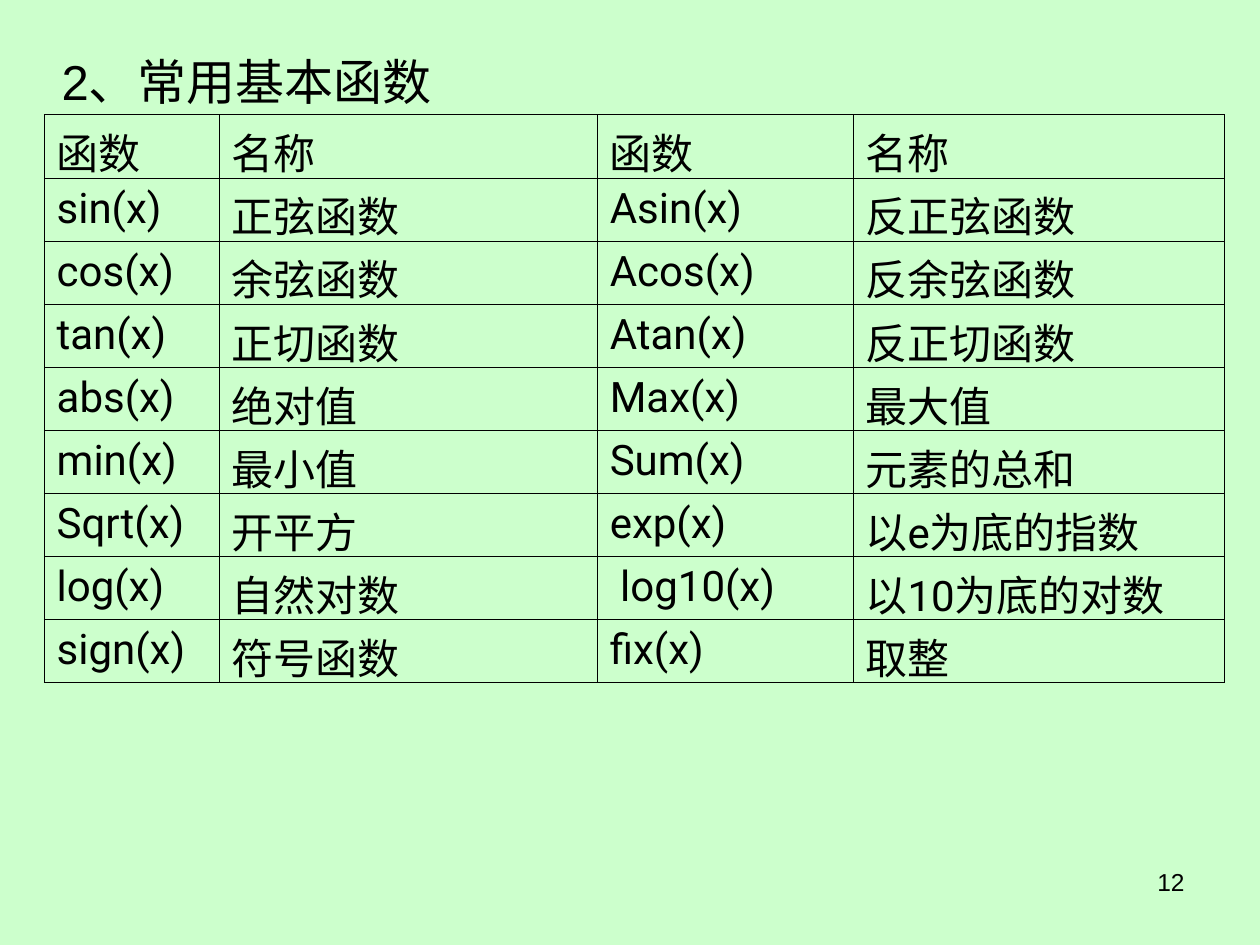
import pptx
import pptx.dml.color
import pptx.enum.text
import pptx.oxml
import pptx.oxml.ns
import pptx.util

BLACK = "000000"
BACKGROUND = "CCFFCC"
ALIGN = pptx.enum.text.PP_ALIGN
ANCHOR = pptx.enum.text.MSO_ANCHOR

FUNCTION_ROWS = [
    ("函数", "名称", "函数", "名称"),
    ("sin(x)", "正弦函数", "Asin(x)", "反正弦函数"),
    ("cos(x)", "余弦函数", "Acos(x)", "反余弦函数"),
    ("tan(x)", "正切函数", "Atan(x)", "反正切函数"),
    ("abs(x)", "绝对值", "Max(x)", "最大值"),
    ("min(x)", "最小值", "Sum(x)", "元素的总和"),
    ("Sqrt(x)", "开平方", "exp(x)", "以e为底的指数"),
    ("log(x)", "自然对数", " log10(x)", "以10为底的对数"),
    ("sign(x)", "符号函数", "fix(x)", "取整"),
]


def color(value):
    return pptx.dml.color.RGBColor.from_string(value)


def write_text(text_frame, text, size=24, font="Arial", fill=BLACK, align=ALIGN.LEFT):
    paragraph = text_frame.paragraphs[0]
    paragraph.alignment = align
    run = paragraph.add_run()
    run.text = text
    run.font.size = pptx.util.Pt(size)
    run.font.name = font
    run.font.color.rgb = color(fill)


class SlideBuilder:
    """Holds the style and the current slide; lengths are shares of the slide."""

    table_font = "Roboto"
    border_width = 0.45

    def __init__(self, presentation):
        self.width = presentation.slide_width
        self.height = presentation.slide_height
        self.slide = presentation.slides.add_slide(presentation.slide_layouts[6])
        fill = self.slide.background.fill
        fill.solid()
        fill.fore_color.rgb = color(BACKGROUND)

    def across(self, share):
        return round(self.width * share)

    def down(self, share):
        return round(self.height * share)

    def area(self, left, top, width, height):
        return self.across(left), self.down(top), self.across(width), self.down(height)

    def text(self, text, place, wrap=True, anchor=ANCHOR.TOP, **text_format):
        text_frame = self.slide.shapes.add_textbox(*self.area(*place)).text_frame
        text_frame.word_wrap = wrap
        text_frame.vertical_anchor = anchor
        write_text(text_frame, text, **text_format)

    def table(self, rows, left, top, column_shares, row_share):
        place = self.area(left, top, sum(column_shares), row_share * len(rows))
        shape = self.slide.shapes.add_table(len(rows), len(column_shares), *place)
        table = shape.table
        table.first_row = table.horz_banding = False
        for column, share in zip(table.columns, column_shares):
            column.width = self.across(share)
        for row, texts in zip(table.rows, rows):
            row.height = self.down(row_share)
            for cell, text in zip(row.cells, texts):
                self.borders(cell)
                cell.fill.background()
                write_text(cell.text_frame, text, font=self.table_font)

    def borders(self, cell):
        properties = cell._tc.get_or_add_tcPr()
        for side in ("lnL", "lnR", "lnT", "lnB"):
            properties.append(pptx.oxml.parse_xml(
                f'<a:{side} {pptx.oxml.ns.nsdecls("a")} w="{pptx.util.Pt(self.border_width)}">'
                f'<a:solidFill><a:srgbClr val="{BLACK}"/></a:solidFill></a:{side}>'))


def main():
    presentation = pptx.Presentation()
    presentation.slide_width = pptx.util.Inches(10)
    presentation.slide_height = pptx.util.Inches(7.5)
    builder = SlideBuilder(presentation)

    # Page number
    builder.text("12", (0.717, 0.911, 0.233, 0.069), size=14, align=ALIGN.RIGHT)

    # Heading
    builder.text("2、常用基本函数", (0.039, 0.048, 0.323, 0.076),
                 wrap=False, anchor=ANCHOR.MIDDLE, size=28)

    # Two pairs of function and name columns
    builder.table(FUNCTION_ROWS, 0.035, 0.1215, (0.139, 0.3, 0.203, 0.295), 0.5 / 7.5)

    presentation.save("out.pptx")


if __name__ == "__main__":
    main()
